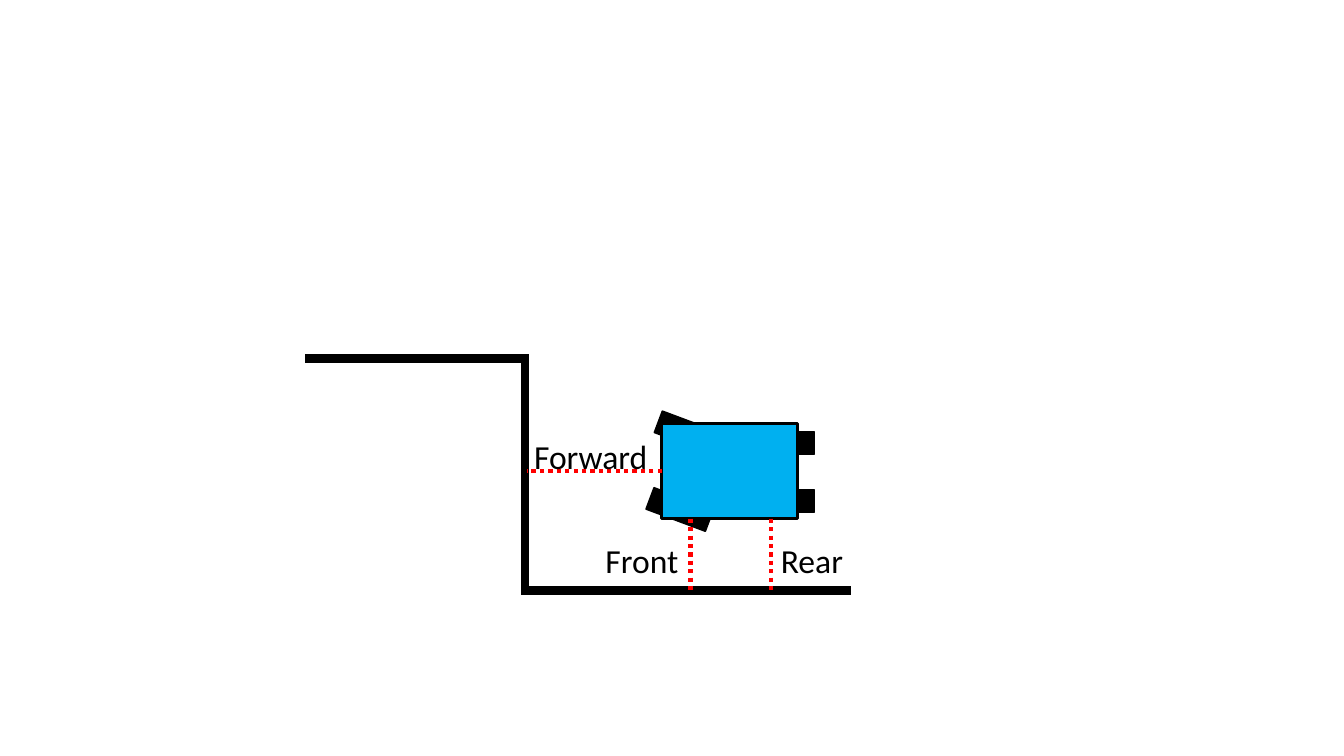
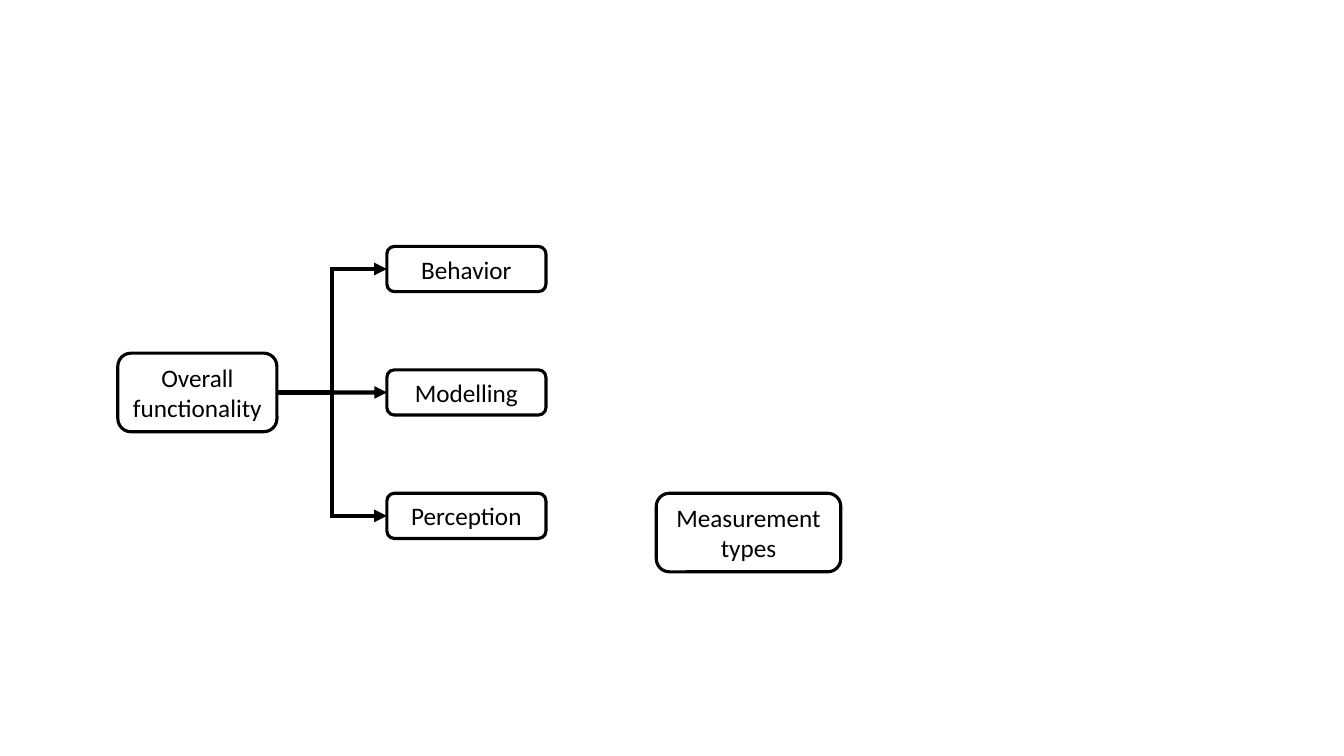
"""Build two slides: a vehicle sensing a wall, and a functional breakdown."""
from dataclasses import dataclass
from typing import Optional

import lxml.etree
import pptx
import pptx.dml.color
import pptx.enum.dml
import pptx.enum.shapes
import pptx.enum.text
import pptx.oxml.ns
import pptx.shapes.autoshape
import pptx.shapes.connector
import pptx.slide
import pptx.util

Cm = pptx.util.Cm
Pt = pptx.util.Pt
RGB = pptx.dml.color.RGBColor
SHAPE = pptx.enum.shapes.MSO_SHAPE
LINK = pptx.enum.shapes.MSO_CONNECTOR
TOP, LEFT, BOTTOM, RIGHT = range(4)


@dataclass(frozen=True)
class Theme:
    font: str = "Calibri"
    ink: RGB = RGB(0, 0, 0)
    body: RGB = RGB(0x00, 0xB0, 0xF0)
    beam: RGB = RGB(0xFF, 0, 0)
    label_size: float = 24
    node_size: float = 18
    thin: float = 1
    outline: float = 2.25
    link: float = 3
    wall: float = 6


@dataclass(frozen=True)
class Box:
    left: float
    top: float
    width: float
    height: float
    text: str = ""
    rotation: float = 0

    @property
    def right(self) -> float:
        return self.left + self.width

    @property
    def bottom(self) -> float:
        return self.top + self.height

    @property
    def middle(self) -> float:
        return self.top + self.height / 2

    def lengths(self) -> tuple:
        return Cm(self.left), Cm(self.top), Cm(self.width), Cm(self.height)


@dataclass(frozen=True)
class Line:
    x1: float
    y1: float
    x2: float
    y2: float
    kind: LINK = LINK.STRAIGHT


THEME = Theme()

WHEEL_SIZE = (1.6, 0.58)
FRONT_TURN = 20.5
CAR = Box(16.68, 10.68, 3.43, 2.39)
WALL = Line(21.44, 14.88, 7.7, 9.04, LINK.ELBOW)
WALL_BEND = 0.597
WHEELS = (
    Box(16.54, 10.62, *WHEEL_SIZE, rotation=FRONT_TURN),
    Box(16.33, 12.55, *WHEEL_SIZE, rotation=FRONT_TURN),
    Box(18.92, 10.87, *WHEEL_SIZE),
    Box(18.92, 12.34, *WHEEL_SIZE),
)
FORWARD_BEAM = Line(CAR.left, CAR.middle, 13.28, CAR.middle)
SIDE_BEAMS = tuple(Line(x, CAR.bottom, x, WALL.y1) for x in (17.4, 19.43))
LABELS = (
    Box(15.01, 13.49, 2.57, 1.27, "Front"),
    Box(19.43, 13.49, 2.57, 1.27, "Rear"),
    Box(13.21, 10.87, 3.48, 1.27, "Forward"),
)

ROOT = Box(2.97, 8.9, 4.01, 1.98, "Overall functionality")
PARTS = tuple(
    Box(9.75, 6.21 + 3.11 * i, 4.01, 1.14, name)
    for i, name in enumerate(("Behavior", "Modelling", "Perception"))
)
MEASUREMENT = Box(16.54, PARTS[-1].top, 4.65, 1.98, "Measurement types")


def write(tf, text: str, size: float) -> None:
    tf.word_wrap = True
    tf.text = text
    p = tf.paragraphs[0]
    for r in p.runs:
        r.font.name = THEME.font
        r.font.size = Pt(size)
        r.font.color.rgb = THEME.ink


def add_block(s: pptx.slide.Slide, kind: SHAPE, box: Box, width: float,
              fill: Optional[RGB] = None) -> pptx.shapes.autoshape.Shape:
    sp = s.shapes.add_shape(kind, *box.lengths())
    sp.rotation = box.rotation
    sp.shadow.inherit = False
    sp.line.color.rgb = THEME.ink
    sp.line.width = Pt(width)
    if fill is None:
        sp.fill.background()
    else:
        sp.fill.solid()
        sp.fill.fore_color.rgb = fill
    return sp


def add_node(s: pptx.slide.Slide, box: Box) -> pptx.shapes.autoshape.Shape:
    sp = add_block(s, SHAPE.ROUNDED_RECTANGLE, box, THEME.outline)
    tf = sp.text_frame
    write(tf, box.text, THEME.node_size)
    tf.vertical_anchor = pptx.enum.text.MSO_ANCHOR.MIDDLE
    tf.paragraphs[0].alignment = pptx.enum.text.PP_ALIGN.CENTER
    return sp


def add_label(s: pptx.slide.Slide, box: Box) -> None:
    write(s.shapes.add_textbox(*box.lengths()).text_frame, box.text, THEME.label_size)


def add_line(s: pptx.slide.Slide, line: Line, color: RGB, width: float,
             dotted: bool = False, arrow: bool = False,
             bend: Optional[float] = None) -> pptx.shapes.connector.Connector:
    qn = pptx.oxml.ns.qn
    cx = s.shapes.add_connector(line.kind, Cm(line.x1), Cm(line.y1), Cm(line.x2), Cm(line.y2))
    cx.line.color.rgb = color
    cx.line.width = Pt(width)
    if dotted:
        cx.line.dash_style = pptx.enum.dml.MSO_LINE.ROUND_DOT
    props = cx._element.spPr
    ln = props.find(qn("a:ln"))
    lxml.etree.SubElement(ln, qn("a:miter"), lim="800000")
    if arrow:
        lxml.etree.SubElement(ln, qn("a:tailEnd"), type="triangle")
    if bend is not None:
        guides = props.find(qn("a:prstGeom")).get_or_add_avLst()
        lxml.etree.SubElement(guides, qn("a:gd"), name="adj1", fmla=f"val {round(bend * 100000)}")
    lxml.etree.SubElement(props, qn("a:effectLst"))
    return cx


def build_sensing(s: pptx.slide.Slide) -> None:
    add_line(s, WALL, THEME.ink, THEME.wall, bend=WALL_BEND)
    for wheel in WHEELS:
        add_block(s, SHAPE.RECTANGLE, wheel, THEME.thin, THEME.ink)
    car = add_block(s, SHAPE.RECTANGLE, CAR, THEME.outline, THEME.body)
    forward = add_line(s, FORWARD_BEAM, THEME.beam, THEME.link, dotted=True)
    forward.begin_connect(car, LEFT)
    for beam in SIDE_BEAMS:
        add_line(s, beam, THEME.beam, THEME.link, dotted=True)
    for label in LABELS:
        add_label(s, label)


def build_breakdown(s: pptx.slide.Slide) -> None:
    root = add_node(s, ROOT)
    for part in PARTS:
        node = add_node(s, part)
        level = abs(part.middle - ROOT.middle) < 0.01
        kind = LINK.STRAIGHT if level else LINK.ELBOW
        line = Line(ROOT.right, ROOT.middle, part.left, part.middle, kind)
        cx = add_line(s, line, THEME.ink, THEME.link, arrow=True)
        cx.begin_connect(root, RIGHT)
        cx.end_connect(node, LEFT)
    add_node(s, MEASUREMENT)


def main() -> None:
    prs = pptx.Presentation()
    prs.slide_width, prs.slide_height = Cm(33.87), Cm(19.05)
    for build in (build_sensing, build_breakdown):
        build(prs.slides.add_slide(prs.slide_layouts[6]))
    prs.save("out.pptx")


if __name__ == "__main__":
    main()
